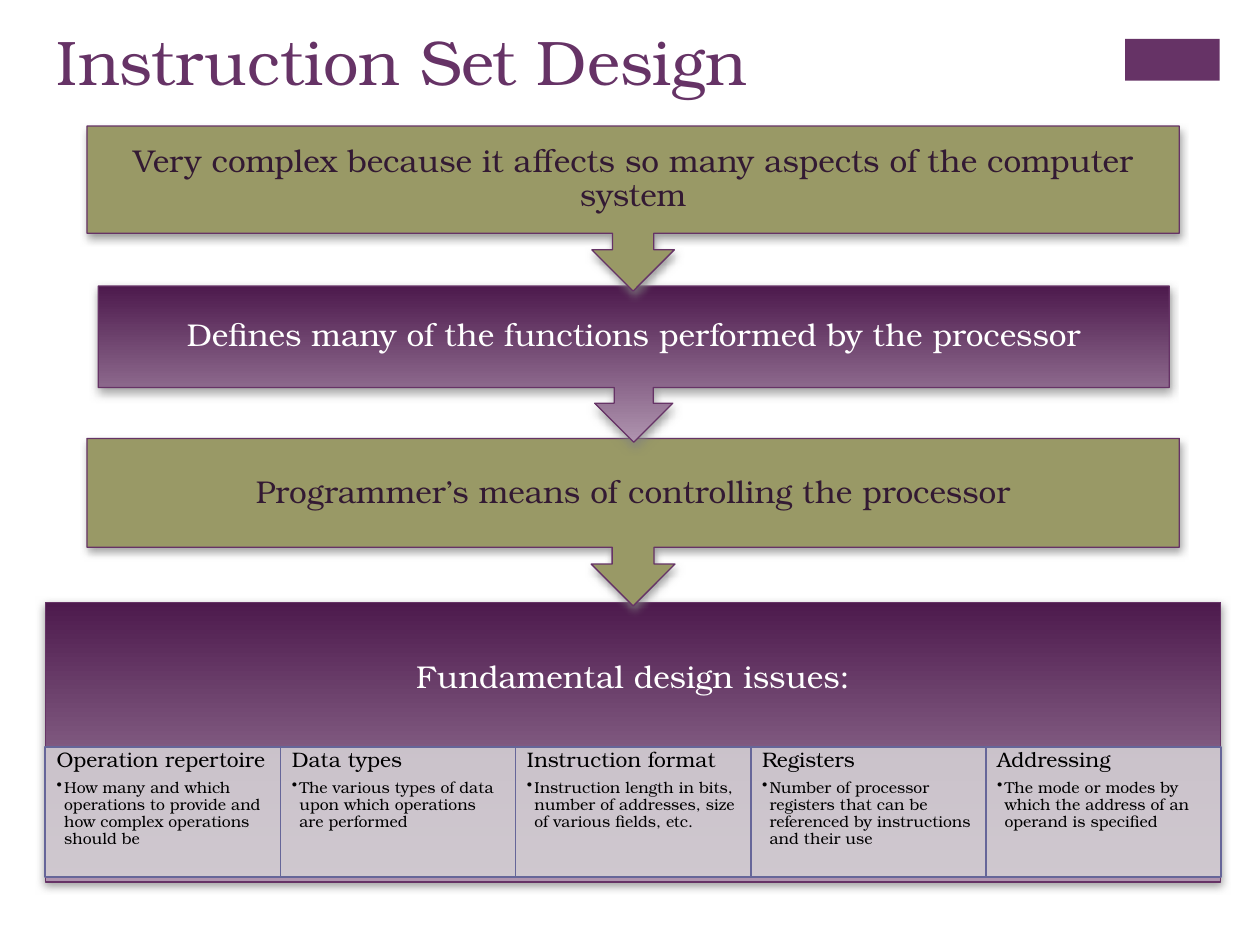
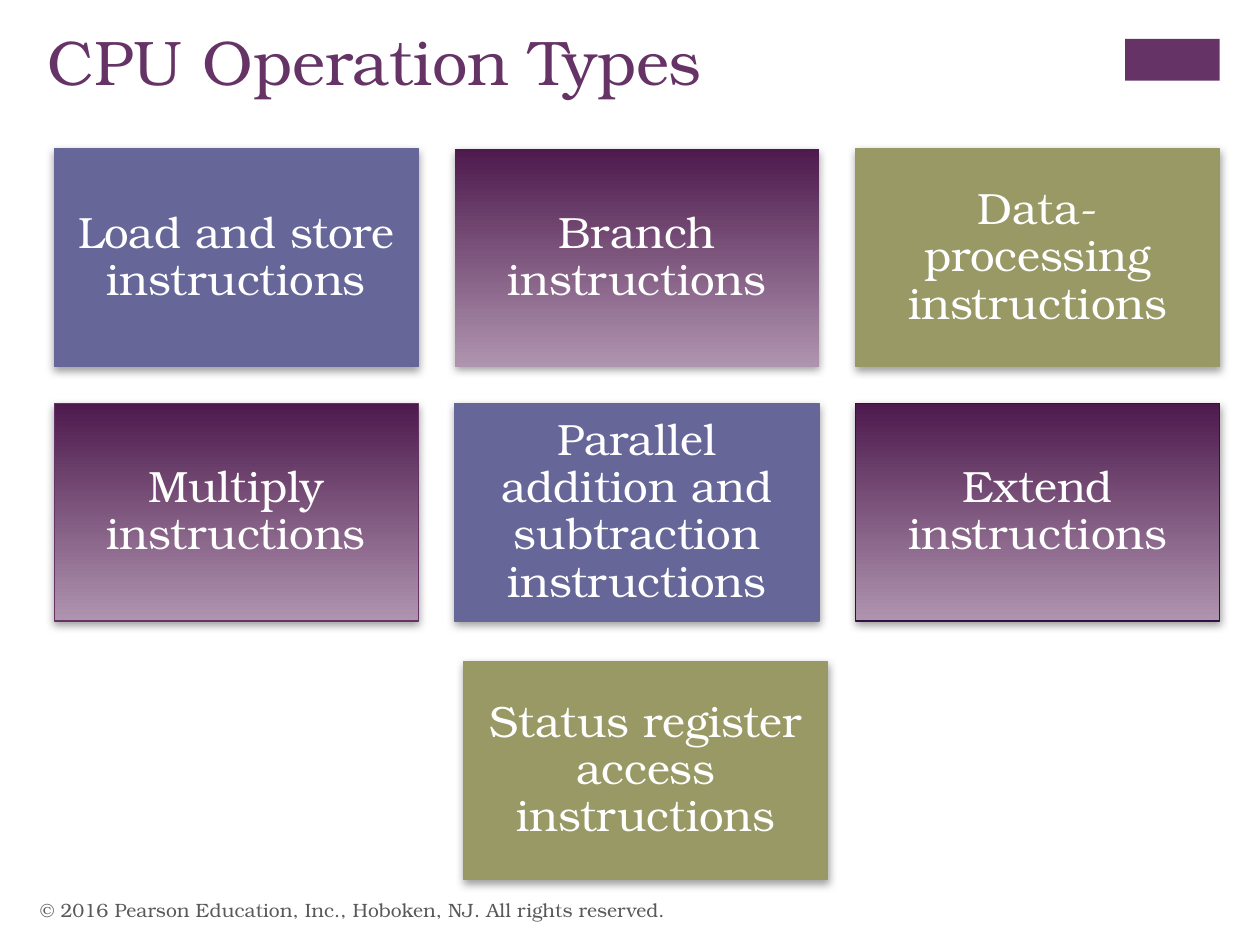
import lxml.etree
import pptx
import pptx.dml.color
import pptx.enum.shapes
import pptx.enum.text
import pptx.oxml.ns
import pptx.util

Inches = pptx.util.Inches
Pt = pptx.util.Pt
qn = pptx.oxml.ns.qn
RGB = pptx.dml.color.RGBColor.from_string
ALIGN = pptx.enum.text.PP_ALIGN
ANCHOR = pptx.enum.text.MSO_ANCHOR
SHAPE = pptx.enum.shapes.MSO_SHAPE

FONT = "TeX Gyre Bonum"
COLORS = {
    "plum": "663366", "plum_dark": "4D1A4D", "plum_light": "AF94AF",
    "plum_text": "331A33", "plum_edge": "330F42", "olive": "999966",
    "blue": "666699", "card": "D3CED3", "shadow": "808080",
    "footer": "595959", "white": "FFFFFF", "black": "000000",
}


def write_text(shape, text, size, color, align=ALIGN.CENTER, anchor=ANCHOR.MIDDLE,
               insets=(0.1, 0.05, 0.1, 0.05), spacing=0.9, after=0, bullet=False, append=False):
    """Write one formatted paragraph; insets run left, top, right, bottom."""
    frame = shape.text_frame
    frame.word_wrap = True
    frame.auto_size = pptx.enum.text.MSO_AUTO_SIZE.NONE
    frame.vertical_anchor = anchor
    frame.margin_left, frame.margin_top, frame.margin_right, frame.margin_bottom = map(Inches, insets)
    paragraph = frame.add_paragraph() if append else frame.paragraphs[0]
    if bullet:
        properties = paragraph._p.get_or_add_pPr()
        properties.set("marL", str(Inches(0.06)))
        properties.set("indent", str(-Inches(0.06)))
        lxml.etree.SubElement(properties, qn("a:buChar")).set("char", "•")
    paragraph.alignment = align
    paragraph.line_spacing = spacing
    paragraph.space_before = Pt(0)
    paragraph.space_after = Pt(after)
    run = paragraph.add_run()
    run.text = text
    run.font.name = FONT
    run.font.size = Pt(size)
    run.font.color.rgb = RGB(COLORS[color])


def add_box(slide, left, top, width, height, fill, line=None, line_width=0.75,
            kind=SHAPE.RECTANGLE, shadow=True, alpha=None):
    """Add a filled shape; the fill "gradient" runs from dark to light plum."""
    shape = slide.shapes.add_shape(kind, *map(Inches, (left, top, width, height)))
    if fill == "gradient":
        shape.fill.gradient()
        shape.fill.gradient_angle = 270
        for stop, name, position in zip(shape.fill.gradient_stops, ("plum_dark", "plum_light"), (0, 1)):
            stop.color.rgb = RGB(COLORS[name])
            stop.position = position
    else:
        shape.fill.solid()
        shape.fill.fore_color.rgb = RGB(COLORS[fill])
    if alpha:
        color = shape._element.spPr.find(f"{qn('a:solidFill')}/{qn('a:srgbClr')}")
        lxml.etree.SubElement(color, qn("a:alpha")).set("val", str(alpha * 1000))
    if line:
        shape.line.color.rgb = RGB(COLORS[line])
        shape.line.width = Pt(line_width)
    else:
        shape.line.fill.background()
    shape.shadow.inherit = False
    if shadow:
        effects = shape._element.spPr.find(qn("a:effectLst"))
        outer = lxml.etree.SubElement(effects, qn("a:outerShdw"), blurRad=str(Pt(5)),
                                      dist=str(Pt(2)), dir="5400000", rotWithShape="0")
        color = lxml.etree.SubElement(outer, qn("a:srgbClr"), val=COLORS["shadow"])
        lxml.etree.SubElement(color, qn("a:alpha"), val="75000")
    return shape


presentation = pptx.Presentation()
presentation.slide_width = Inches(10)
presentation.slide_height = Inches(7.5)

# Shared corner block and title
slides = []
for title_text, title_left in (("Instruction Set Design", 0.35), ("CPU Operation Types", 0.28)):
    slide = presentation.slides.add_slide(presentation.slide_layouts[5])
    add_box(slide, 8.93, 0.31, 0.75, 0.33, "plum", shadow=False)
    title = slide.shapes.title
    title.left, title.top, title.width, title.height = map(Inches, (title_left, 0.13, 8.26, 1.22))
    write_text(title, title_text, 36, "plum", align=ALIGN.LEFT, anchor=ANCHOR.TOP, spacing=1)
    slides.append(slide)
design_slide, operations_slide = slides

# Slide 1: design issues band, its heading in the upper part
band = add_box(design_slide, 0.36, 4.78, 9.33, 2.22, "gradient", "plum")
write_text(band, "Fundamental design issues:", 18, "white", insets=(0.14, 0.14, 0.14, 1.16))

# Slide 1: row of issue cards
issues = [
    ("Operation repertoire",
     "How many and which operations to provide and how complex operations should be"),
    ("Data types", "The various types of data upon which operations are performed"),
    ("Instruction format",
     "Instruction length in bits, number of addresses, size of various fields, etc."),
    ("Registers",
     "Number of processor registers that can be referenced by instructions and their use"),
    ("Addressing", "The mode or modes by which the address of an operand is specified"),
]
card_width = 9.33 / len(issues)
card_format = {"align": ALIGN.LEFT, "anchor": ANCHOR.TOP, "insets": (0.09, 0.02, 0.09, 0.02)}
for index, (heading, detail) in enumerate(issues):
    card = add_box(design_slide, 0.36 + index * card_width, 5.93, card_width, 1.03,
                   "card", "blue", line_width=1, shadow=False, alpha=90)
    write_text(card, heading, 12, "black", after=4.2, **card_format)
    write_text(card, detail, 9, "black", bullet=True, append=True, **card_format)

# Slide 1: arrow callouts, lowest first so each arrow overlaps the box below
callouts = [
    (0.69, 3.48, 8.67, 1.33, "olive", "plum_text", "Programmer’s means of controlling the processor"),
    (0.78, 2.27, 8.5, 1.24, "gradient", "white",
     "Defines many of the functions performed by the processor"),
    (0.69, 1, 8.67, 1.31, "olive", "plum_text",
     "Very complex because it affects so many aspects of the computer system"),
]
for left, top, width, height, fill, color, text in callouts:
    callout = add_box(design_slide, left, top, width, height, fill, "plum",
                      kind=SHAPE.DOWN_ARROW_CALLOUT)
    write_text(callout, text, 18, color, insets=(0.14,) * 4)

# Slide 2: three-column grid of operation types, the last one centred below
operations = [
    ("Load and store instructions", "blue", "blue"),
    ("Branch instructions", "gradient", None),
    ("Data-processing instructions", "olive", "olive"),
    ("Multiply instructions", "gradient", "plum"),
    ("Parallel addition and subtraction instructions", "blue", "blue"),
    ("Extend instructions", "gradient", "plum_edge"),
    ("Status register access instructions", "olive", "olive"),
]
for index, (text, fill, line) in enumerate(operations):
    row, column = divmod(index, 3)
    left, top = (0.43 + column * 3.18, 1.18 + row * 2.02) if row < 2 else (3.68, 5.25)
    tile = add_box(operations_slide, left, top, 2.89, 1.73, fill, line)
    write_text(tile, text, 25, "white", insets=(0.1,) * 4)

# Slide 2: copyright line
footer = operations_slide.shapes.add_textbox(*map(Inches, (0.22, 7.02, 6.7, 0.4)))
write_text(footer, "© 2016 Pearson Education, Inc., Hoboken, NJ. All rights reserved.",
           11, "footer", align=ALIGN.LEFT, spacing=1)

presentation.save("out.pptx")
